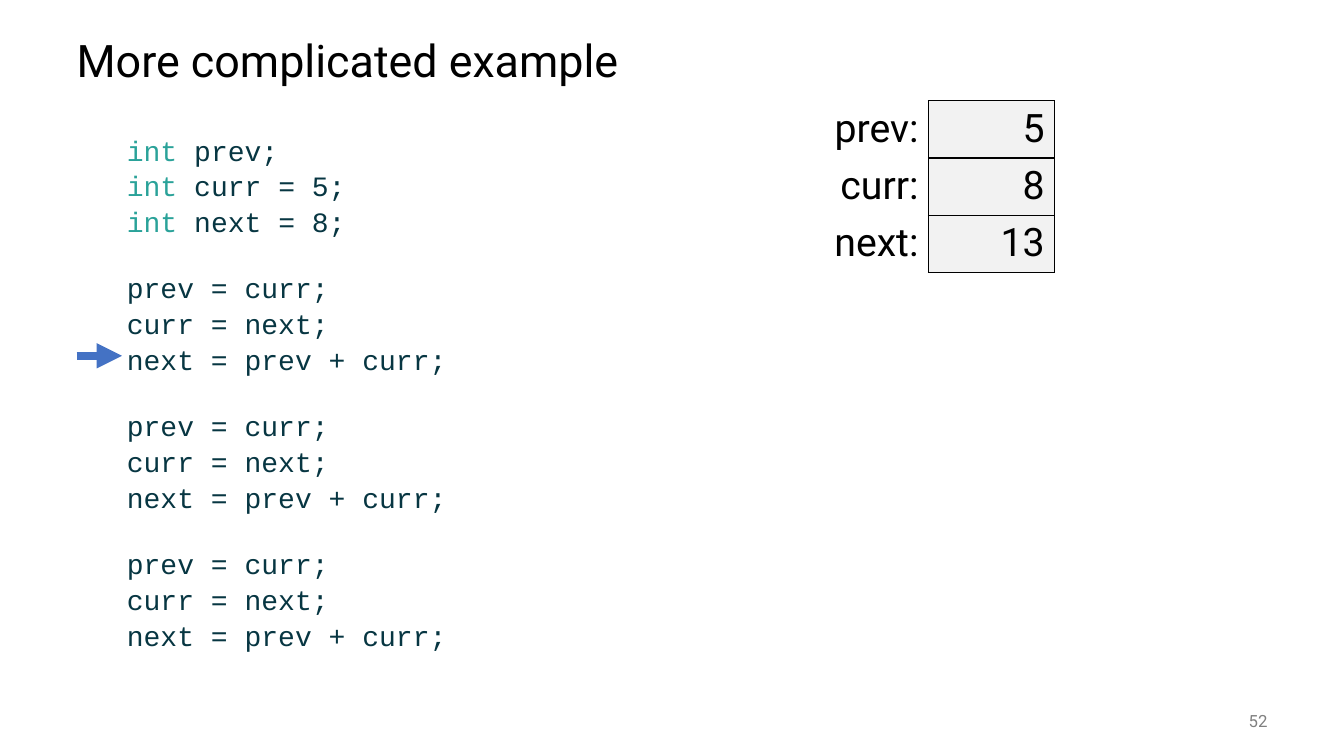
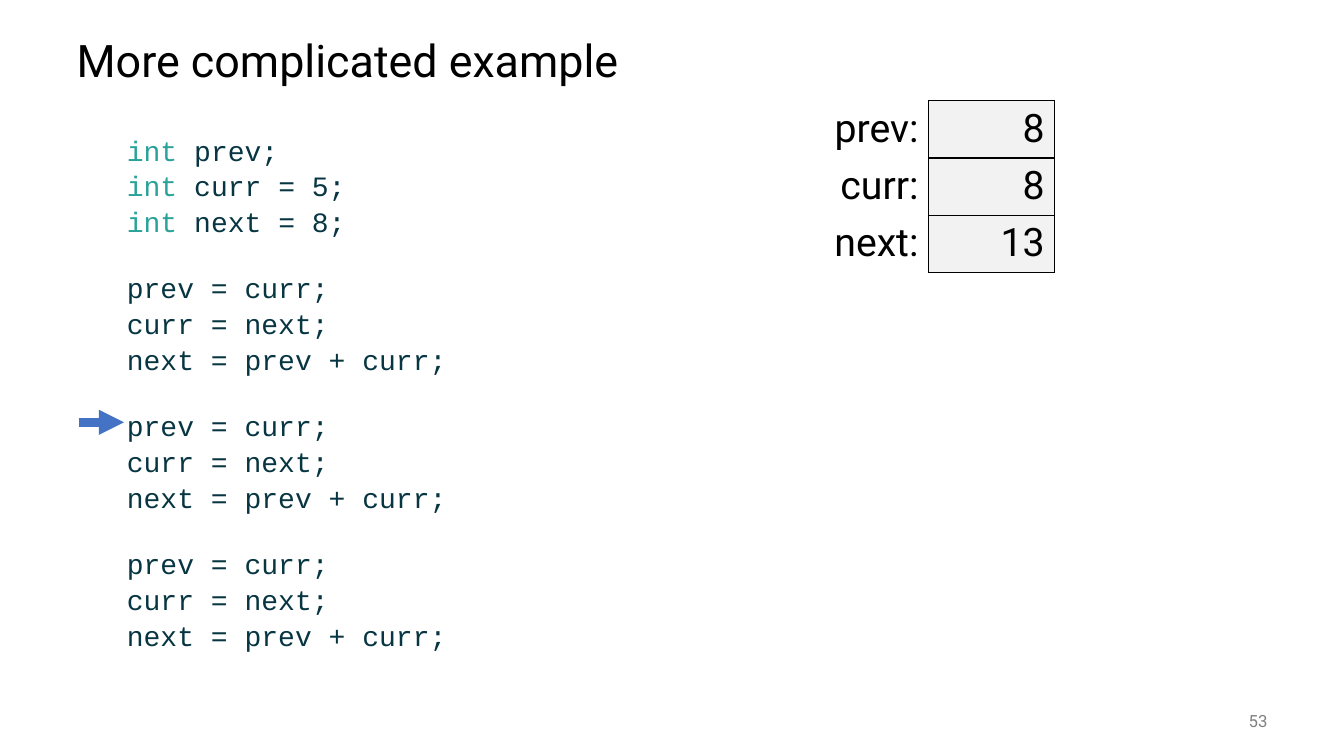
from dataclasses import dataclass

from lxml.etree import SubElement
from pptx import Presentation
from pptx.dml.color import RGBColor as RGB
from pptx.enum.shapes import MSO_CONNECTOR as CONN
from pptx.enum.text import MSO_ANCHOR as ANCHOR, PP_ALIGN as ALIGN
from pptx.oxml.ns import qn
from pptx.util import Inches, Pt


@dataclass(frozen=True)
class Theme:
    sans: str = "Roboto"
    mono: str = "Courier New"
    ink: str = "000000"
    code: str = "073642"
    keyword: str = "2AA299"
    cell: str = "F2F2F2"
    arrow: str = "4472C4"
    muted: str = "808080"
    title_size: int = 32
    code_size: int = 20
    table_size: int = 28
    number_size: int = 12


T = Theme()
TITLE = "More complicated example"
LEFT, WIDTH = 0.66, 12
LINE_PITCH, GROUP_GAP = 0.36, 0.3
FIRST_LINE_Y = 1.43
ARROW_LENGTH = 0.45
COL_W, ROW_H = 1.25, 0.55

STEP = ["prev = curr;", "curr = next;", "next = prev + curr;"]
GROUPS = [["int prev;", "int curr = 5;", "int next = 8;"], STEP, STEP, STEP]
VARIABLES = ["prev:", "curr:", "next:"]

# page number, variable values, arrow start, (group, line) the arrow points at
STATES = [
    (52, [5, 8, 13], 0.76, (1, 2)),
    (53, [8, 8, 13], 0.78, (2, 0)),
]


def add_text(p, text, font=T.sans, size=T.table_size, color=T.ink, align=ALIGN.LEFT):
    p.alignment = align
    r = p.add_run()
    r.text = text
    r.font.name, r.font.size = font, Pt(size)
    r.font.color.rgb = RGB.from_string(color)


def add_borders(cell, sides):
    """Draw 1 pt lines on the given sides; call before filling the cell."""
    tc_pr = cell._tc.get_or_add_tcPr()
    for side in sides:
        ln = SubElement(tc_pr, qn(f"a:ln{side}"), w=str(Pt(1)))
        fill = SubElement(ln, qn("a:solidFill"))
        SubElement(fill, qn("a:srgbClr"), val=T.ink)


prs = Presentation()
prs.slide_width, prs.slide_height = Inches(13.33), Inches(7.5)
title_only = prs.slide_layouts[5]

for number, values, arrow_x, (arrow_group, arrow_line) in STATES:
    s = prs.slides.add_slide(title_only)

    title = s.shapes.title
    title.left, title.top = Inches(LEFT), Inches(0.25)
    title.width, title.height = Inches(WIDTH), Inches(0.75)
    tf = title.text_frame
    tf.vertical_anchor = ANCHOR.MIDDLE
    tf.paragraphs[0].line_spacing = 0.9
    add_text(tf.paragraphs[0], TITLE, size=T.title_size)

    # Code listing
    sp = s.shapes.add_textbox(Inches(LEFT), Inches(1.31), Inches(WIDTH), Inches(5.44))
    tf = sp.text_frame
    tf.word_wrap = True
    for g, group in enumerate(GROUPS):
        for i, line in enumerate(group):
            first = g == i == 0
            p = tf.paragraphs[0] if first else tf.add_paragraph()
            p._p.get_or_add_pPr().set("marL", str(Inches(0.5)))
            p.line_spacing = 0.9
            if not first:
                p.space_before = Pt(4) if i else Pt(4) + Inches(GROUP_GAP)
            if line.startswith("int "):
                add_text(p, "int ", font=T.mono, size=T.code_size, color=T.keyword)
            add_text(p, line.removeprefix("int "), font=T.mono, size=T.code_size,
                     color=T.code)

    # Page number
    sp = s.shapes.add_textbox(Inches(11.67), Inches(6.95), Inches(1), Inches(0.4))
    tf = sp.text_frame
    tf.word_wrap = True
    tf.vertical_anchor = ANCHOR.MIDDLE
    add_text(tf.paragraphs[0], str(number), size=T.number_size, color=T.muted,
             align=ALIGN.RIGHT)

    # Variable values
    table = s.shapes.add_table(len(VARIABLES), 2, Inches(7.96), Inches(1),
                               Inches(2 * COL_W), Inches(len(VARIABLES) * ROW_H)).table
    table.first_row = table.horz_banding = False
    for row, (name, value) in enumerate(zip(VARIABLES, values)):
        label_cell, value_cell = table.cell(row, 0), table.cell(row, 1)
        add_borders(label_cell, "R")
        add_borders(value_cell, "LRTB")
        label_cell.fill.background()
        value_cell.fill.solid()
        value_cell.fill.fore_color.rgb = RGB.from_string(T.cell)
        for cell, text in ((label_cell, name), (value_cell, str(value))):
            add_text(cell.text_frame.paragraphs[0], text, align=ALIGN.RIGHT)

    # Arrow at the current line
    lines_above = sum(len(group) for group in GROUPS[:arrow_group]) + arrow_line
    y = Inches(FIRST_LINE_Y + LINE_PITCH * lines_above + GROUP_GAP * arrow_group)
    arrow = s.shapes.add_connector(CONN.STRAIGHT, Inches(arrow_x), y,
                                   Inches(arrow_x + ARROW_LENGTH), y)
    arrow.line.width = Pt(6)
    arrow.line.color.rgb = RGB.from_string(T.arrow)
    SubElement(arrow.line._get_or_add_ln(), qn("a:tailEnd"), type="triangle")
    SubElement(arrow._element.spPr, qn("a:effectLst"))

prs.save("out.pptx")
